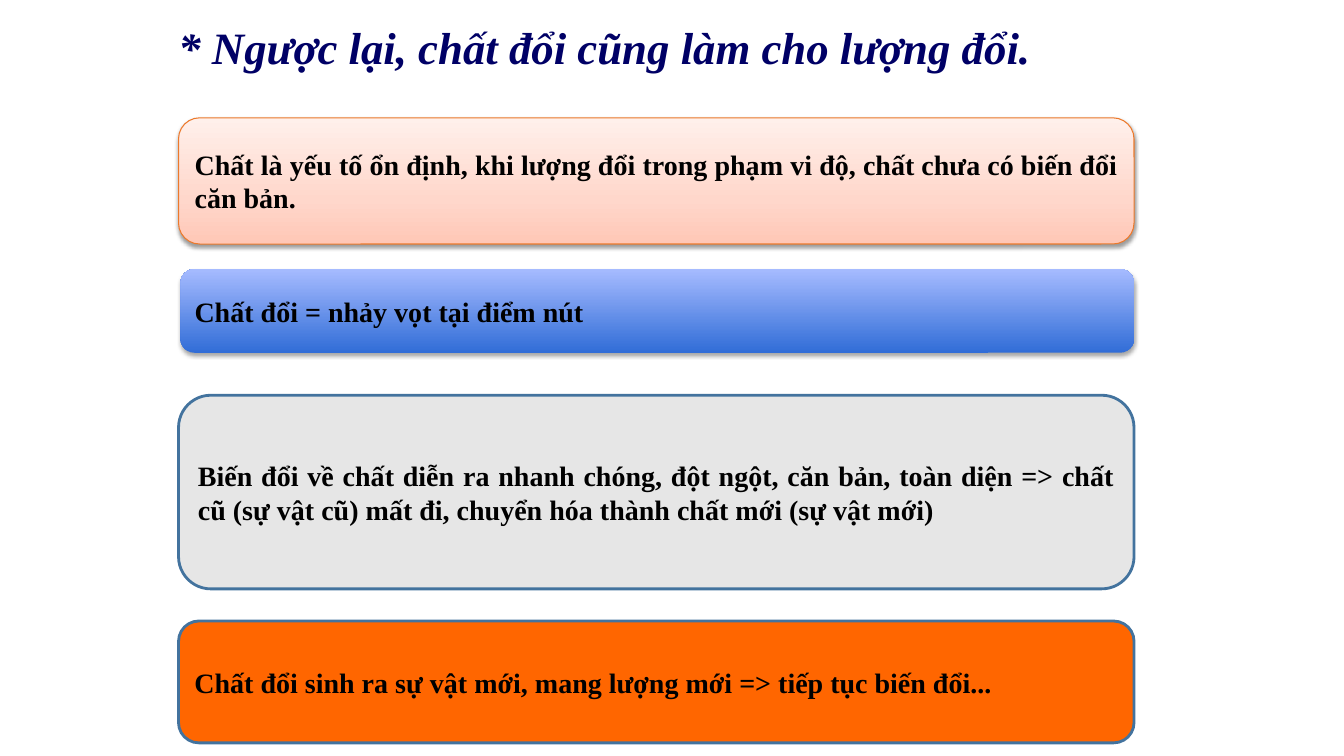
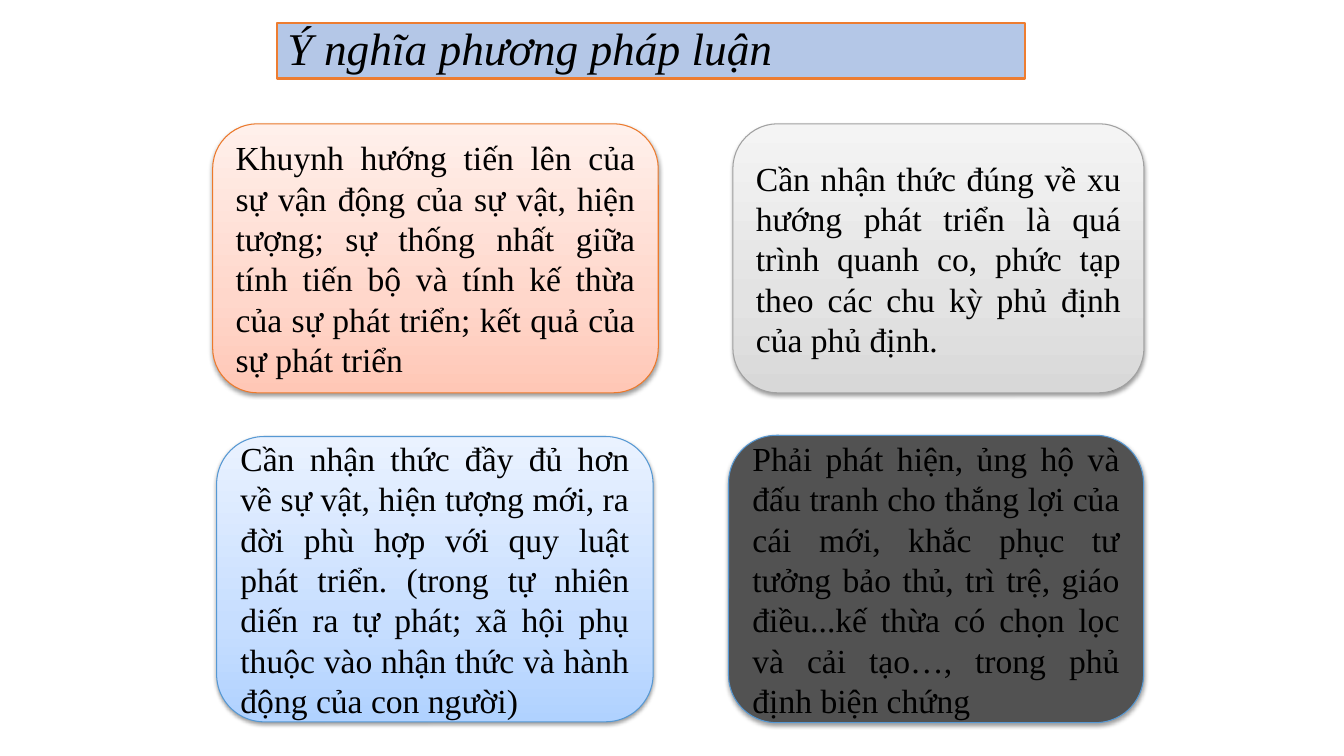
"""Build two slides on quality, quantity and the meaning of their change."""
from lxml.etree import SubElement
from pptx import Presentation
from pptx.dml.color import RGBColor
from pptx.enum.shapes import MSO_SHAPE
from pptx.enum.text import MSO_ANCHOR, MSO_AUTO_SIZE, PP_ALIGN
from pptx.oxml.ns import qn
from pptx.util import Cm, Pt

FONT = "Times New Roman"
COLORS = {
    "black": "000000", "navy": "000066", "title_fill": "B4C7E7",
    "title_line": "ED7D31", "orange_line": "EC792B", "steel_line": "43739E",
    "blue_line": "5698D3", "gray_line": "A1A1A1", "light_gray": "E6E6E6",
    "orange": "FF6600", "dark_gray": "525252",
}
GRADIENTS = {
    "peach": [(0, "FFC7B6"), (35, "FFD7CB"), (100, "FFF0EB")],
    "royal": [(0, "316DD7"), (100, "A6BBFF")],
    "sky": [(0, "B0D2FF"), (35, "C7DEFF"), (100, "EAF2FF")],
    "silver": [(0, "D8D8D8"), (35, "E3E3E3"), (100, "F4F4F4")],
}
SOFT_SHADOW = {"distance": 1.6, "opacity": 38}
STRONG_SHADOW = {"distance": 1.8, "opacity": 35}


def write_text(shape, text, size, color, alignment, bold=False, italic=False):
    frame = shape.text_frame
    frame.word_wrap = True
    frame.auto_size = MSO_AUTO_SIZE.NONE
    frame.vertical_anchor = MSO_ANCHOR.MIDDLE
    paragraph = frame.paragraphs[0]
    paragraph.alignment = alignment
    run = paragraph.add_run()
    run.text = text
    run.font.name = FONT
    run.font.size = Pt(size)
    run.font.bold = bold
    run.font.italic = italic
    run.font.color.rgb = RGBColor.from_string(COLORS[color])
    return paragraph


def paint(shape, fill, line, line_width, shadow=None):
    if fill in GRADIENTS:
        shape.fill.gradient()
        shape.fill.gradient_angle = 90
        stops = shape._element.spPr.find(".//" + qn("a:gsLst"))
        for stop in list(stops):
            stops.remove(stop)
        for position, color in GRADIENTS[fill]:
            stop = SubElement(stops, qn("a:gs"), pos=str(position * 1000))
            SubElement(stop, qn("a:srgbClr"), val=color)
    else:
        shape.fill.solid()
        shape.fill.fore_color.rgb = RGBColor.from_string(COLORS[fill])
    if line:
        shape.line.color.rgb = RGBColor.from_string(COLORS[line])
        shape.line.width = Pt(line_width)
    else:
        shape.line.fill.background()
    shape.shadow.inherit = False
    if shadow:
        effects = shape._element.spPr.find(qn("a:effectLst"))
        outer = SubElement(effects, qn("a:outerShdw"), blurRad=str(Pt(3.1)),
                           dist=str(Pt(shadow["distance"])), dir="5400000",
                           rotWithShape="0")
        color = SubElement(outer, qn("a:srgbClr"), val=COLORS["black"])
        SubElement(color, qn("a:alpha"), val=str(shadow["opacity"] * 1000))


SLIDES = [
    {
        "title": "* Ngược lại, chất đổi cũng làm cho lượng đổi.",
        "title_box": (4.24, -0.43, 25.4, 3.38),
        "title_size": 32, "title_color": "navy", "title_bold": True,
        "title_paint": None,
        "card_size": 20, "card_bold": True,
        "cards": [
            ((4.5, 2.97, 24.08, 3.18), ("peach", "orange_line", 0.75, SOFT_SHADOW),
             "Chất là yếu tố ổn định, khi lượng đổi trong phạm vi độ, "
             "chất chưa có biến đổi căn bản."),
            ((4.55, 6.78, 24.03, 2.11), ("royal", None, 0, STRONG_SHADOW),
             "Chất đổi = nhảy vọt tại điểm nút"),
            ((4.5, 9.96, 24.08, 4.88), ("light_gray", "steel_line", 2),
             "Biến đổi về chất diễn ra nhanh chóng, đột ngột, căn bản, toàn diện "
             "=> chất cũ (sự vật cũ) mất đi, chuyển hóa thành chất mới (sự vật mới)"),
            ((4.5, 15.65, 24.08, 3.07), ("orange", "steel_line", 2),
             "Chất đổi sinh ra sự vật mới, mang lượng mới => tiếp tục biến đổi..."),
        ],
    },
    {
        "title": "Ý nghĩa phương pháp luận",
        "title_box": (6.99, 0.58, 18.85, 1.4),
        "title_size": 32.4, "title_color": "black", "title_bold": False,
        "title_paint": ("title_fill", "title_line", 1.5),
        "card_size": 24, "card_bold": False,
        "cards": [
            ((5.36, 3.12, 11.23, 6.78), ("peach", "orange_line", 0.75, SOFT_SHADOW),
             "Khuynh hướng tiến lên của sự vận động của sự vật, hiện tượng; "
             "sự thống nhất giữa tính tiến bộ và tính kế thừa của sự phát triển; "
             "kết quả của sự phát triển"),
            ((5.46, 11, 11, 7.19), ("sky", "blue_line", 0.75, SOFT_SHADOW),
             "Cần nhận thức đầy đủ hơn về sự vật, hiện tượng mới, ra đời phù hợp "
             "với quy luật phát triển. (trong tự nhiên diến ra tự phát; xã hội phụ "
             "thuộc vào nhận thức và hành động của con người)"),
            ((18.47, 3.12, 10.36, 6.78), ("silver", "gray_line", 0.75, SOFT_SHADOW),
             "Cần nhận thức đúng về xu hướng phát triển là quá trình quanh co, "
             "phức tạp theo các chu kỳ phủ định của phủ định."),
            ((18.36, 10.97, 10.46, 7.24), ("dark_gray", "blue_line", 0.75, SOFT_SHADOW),
             "Phải phát hiện, ủng hộ và đấu tranh cho thắng lợi của cái mới, "
             "khắc phục tư tưởng bảo thủ, trì trệ, giáo điều...kế thừa có chọn lọc "
             "và cải tạo…, trong phủ định biện chứng"),
        ],
    },
]

presentation = Presentation()
presentation.slide_width = Cm(33.87)
presentation.slide_height = Cm(19.05)

for content in SLIDES:
    slide = presentation.slides.add_slide(presentation.slide_layouts[5])
    title = slide.shapes.title
    title.left, title.top, title.width, title.height = map(Cm, content["title_box"])
    if content["title_paint"]:
        paint(title, *content["title_paint"])
    heading = write_text(title, content["title"], content["title_size"],
                         content["title_color"], PP_ALIGN.LEFT,
                         bold=content["title_bold"], italic=True)
    heading.line_spacing = 0.9

    for box, style, text in content["cards"]:
        card = slide.shapes.add_shape(MSO_SHAPE.ROUNDED_RECTANGLE, *map(Cm, box))
        paint(card, *style)
        write_text(card, text, content["card_size"], "black", PP_ALIGN.JUSTIFY,
                   bold=content["card_bold"])

presentation.save("out.pptx")
